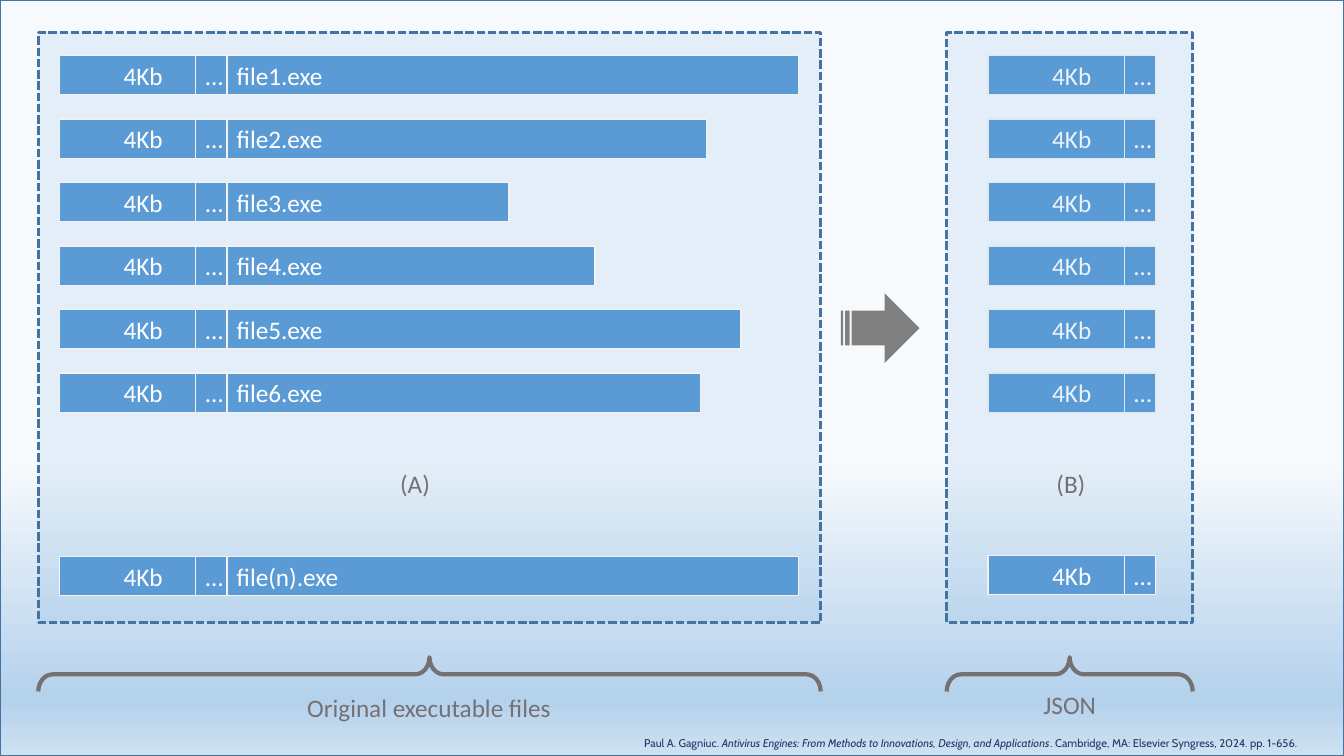
from lxml import etree
from pptx import Presentation
from pptx.dml.color import RGBColor
from pptx.enum.dml import MSO_LINE_DASH_STYLE as Dash
from pptx.enum.shapes import MSO_SHAPE as Shape
from pptx.enum.text import MSO_ANCHOR as Anchor, MSO_AUTO_SIZE as AutoSize, PP_ALIGN as Align
from pptx.oxml.ns import qn
from pptx.util import Inches, Pt

BLUE = RGBColor(0x5B, 0x9B, 0xD5)
DARK_BLUE = RGBColor(0x43, 0x73, 0x9E)
NAVY = RGBColor(0x20, 0x38, 0x64)
WHITE = RGBColor(0xFF, 0xFF, 0xFF)
PALE_GRAY = RGBColor(0xF2, 0xF2, 0xF2)
LABEL_GRAY = RGBColor(0x76, 0x71, 0x71)
ARROW_GRAY = RGBColor(0x80, 0x80, 0x80)
SKY_TOP = RGBColor(0xF7, 0xFA, 0xFD)
SKY_DEEP = RGBColor(0xB5, 0xD2, 0xEC)
SKY_END = RGBColor(0xCE, 0xE1, 0xF2)
SKY_STOPS = [(61, SKY_TOP), (92, SKY_DEEP), (93, SKY_DEEP), (100, SKY_END)]

SLIDE_WIDTH, SLIDE_HEIGHT = 13.33, 7.5
ROW_TOP, ROW_STEP, ROW_HEIGHT = 0.55, 0.63, 0.39
HEADER_WIDTH, DOTS_WIDTH = 1.66, 0.31
FILES_LEFT, JSON_LEFT = 0.59, 9.8
PANEL_TOP, PANEL_HEIGHT = 0.32, 5.86
FILES_PANEL, JSON_PANEL = (0.38, 7.76), (9.39, 2.44)
BRACE_TOP, BRACE_HEIGHT = 6.52, 0.34
FILE_WIDTHS = [5.67, 4.76, 2.8, 3.65, 5.1, 4.7]
LAST_TOP = 5.52


def add_box(slide, kind, left, top, width, height, fill=None, line=None, weight=1):
    box = slide.shapes.add_shape(kind, Inches(left), Inches(top), Inches(width), Inches(height))
    box.shadow.inherit = False
    if fill is None:
        box.fill.background()
    else:
        box.fill.solid()
        box.fill.fore_color.rgb = fill
    if line is None:
        box.line.fill.background()
    else:
        box.line.color.rgb = line
        box.line.width = Pt(weight)
    return box


def add_run(para, text, color, size=18, font="Calibri", italic=None):
    span = para.add_run()
    span.text = text
    span.font.size = Pt(size)
    span.font.name = font
    span.font.color.rgb = color
    span.font.italic = italic


def add_background(slide):
    box = add_box(slide, Shape.RECTANGLE, 0, 0, SLIDE_WIDTH, SLIDE_HEIGHT, line=DARK_BLUE)
    box.fill.gradient()
    box.fill.gradient_angle = 270
    stops = box.element.spPr.find(qn("a:gradFill")).find(qn("a:gsLst"))
    for stop in list(stops):
        stops.remove(stop)
    for percent, color in SKY_STOPS:
        stop = etree.SubElement(stops, qn("a:gs"), pos=str(percent * 1000))
        etree.SubElement(stop, qn("a:srgbClr"), val=str(color))


def add_panel(slide, left, width):
    """Add a dashed frame with a faint, 12 % opaque blue fill."""
    panel = add_box(slide, Shape.RECTANGLE, left, PANEL_TOP, width, PANEL_HEIGHT,
                    BLUE, DARK_BLUE, 2)
    panel.line.dash_style = Dash.SQUARE_DOT
    color = panel.element.spPr.find(qn("a:solidFill")).find(qn("a:srgbClr"))
    etree.SubElement(color, qn("a:alpha"), val="12000")


def add_cell(slide, left, top, width, text, align=Align.CENTER):
    cell = add_box(slide, Shape.RECTANGLE, left, top, width, ROW_HEIGHT, BLUE, PALE_GRAY)
    frame = cell.text_frame
    frame.word_wrap = True
    frame.vertical_anchor = Anchor.MIDDLE
    para = frame.paragraphs[0]
    para.alignment = align
    add_run(para, text, WHITE)


def add_header(slide, left, top):
    """Add the 4Kb cell with the dots cell over its right end."""
    add_cell(slide, left, top, HEADER_WIDTH, "4Kb")
    add_cell(slide, left + HEADER_WIDTH - DOTS_WIDTH, top, DOTS_WIDTH, "…")


def add_file(slide, top, width, name):
    add_cell(slide, FILES_LEFT + HEADER_WIDTH, top, width, name, Align.LEFT)
    add_header(slide, FILES_LEFT, top)


def add_brace(slide, left, width):
    """Add a brace that spans the width and points up."""
    center_x, center_y = left + width / 2, BRACE_TOP + BRACE_HEIGHT / 2
    brace = add_box(slide, Shape.LEFT_BRACE, center_x - BRACE_HEIGHT / 2, center_y - width / 2,
                    BRACE_HEIGHT, width, line=LABEL_GRAY, weight=3)
    brace.adjustments[0] = 0.414
    brace.rotation = 270
    brace.element.spPr.find(qn("a:xfrm")).set("flipH", "1")


def add_text(slide, left, top, width, height, wrap=True, align=Align.LEFT):
    """Add an empty text box and return its first paragraph."""
    box = slide.shapes.add_textbox(Inches(left), Inches(top), Inches(width), Inches(height))
    frame = box.text_frame
    frame.word_wrap = wrap
    frame.auto_size = AutoSize.SHAPE_TO_FIT_TEXT
    para = frame.paragraphs[0]
    para.alignment = align
    return para


def add_citation(slide):
    para = add_text(slide, 6.29, 7.26, 7.05, 0.24)
    for text, italic in [
        ("Paul A. Gagniuc. ", False),
        ("Antivirus Engines: From Methods to Innovations, Design, and Applications", True),
        (". Cambridge, MA: Elsevier Syngress, 2024. pp. 1-656.", False),
    ]:
        add_run(para, text, NAVY, 8, "Cabin", italic)


def main():
    deck = Presentation()
    deck.slide_width, deck.slide_height = Inches(SLIDE_WIDTH), Inches(SLIDE_HEIGHT)
    slide = deck.slides.add_slide(deck.slide_layouts[6])

    add_background(slide)
    add_panel(slide, *FILES_PANEL)
    row_tops = [ROW_TOP + ROW_STEP * row for row in range(len(FILE_WIDTHS))]
    for number, (top, width) in enumerate(zip(row_tops, FILE_WIDTHS), 1):
        add_file(slide, top, width, f"file{number}.exe")
    add_file(slide, LAST_TOP, FILE_WIDTHS[0], "file(n).exe")

    for top in row_tops:
        add_header(slide, JSON_LEFT, top)
    add_panel(slide, *JSON_PANEL)
    for panel in (FILES_PANEL, JSON_PANEL):
        add_brace(slide, *panel)
    for text, left in [("(A)", 3.87), ("(B)", 10.38)]:
        add_run(add_text(slide, left, 4.6, 0.5, 0.4, wrap=False), text, LABEL_GRAY)
    add_header(slide, JSON_LEFT, LAST_TOP - 0.01)

    add_box(slide, Shape.STRIPED_RIGHT_ARROW, 8.34, 2.91, 0.78, 0.69, ARROW_GRAY)
    for text, left, top, width in [("Original executable files", 2.44, 6.82, 3.63),
                                   ("JSON", 10.18, 6.79, 0.86)]:
        add_run(add_text(slide, left, top, width, 0.4, align=Align.CENTER), text, LABEL_GRAY)
    add_citation(slide)
    deck.save("out.pptx")


if __name__ == "__main__":
    main()
